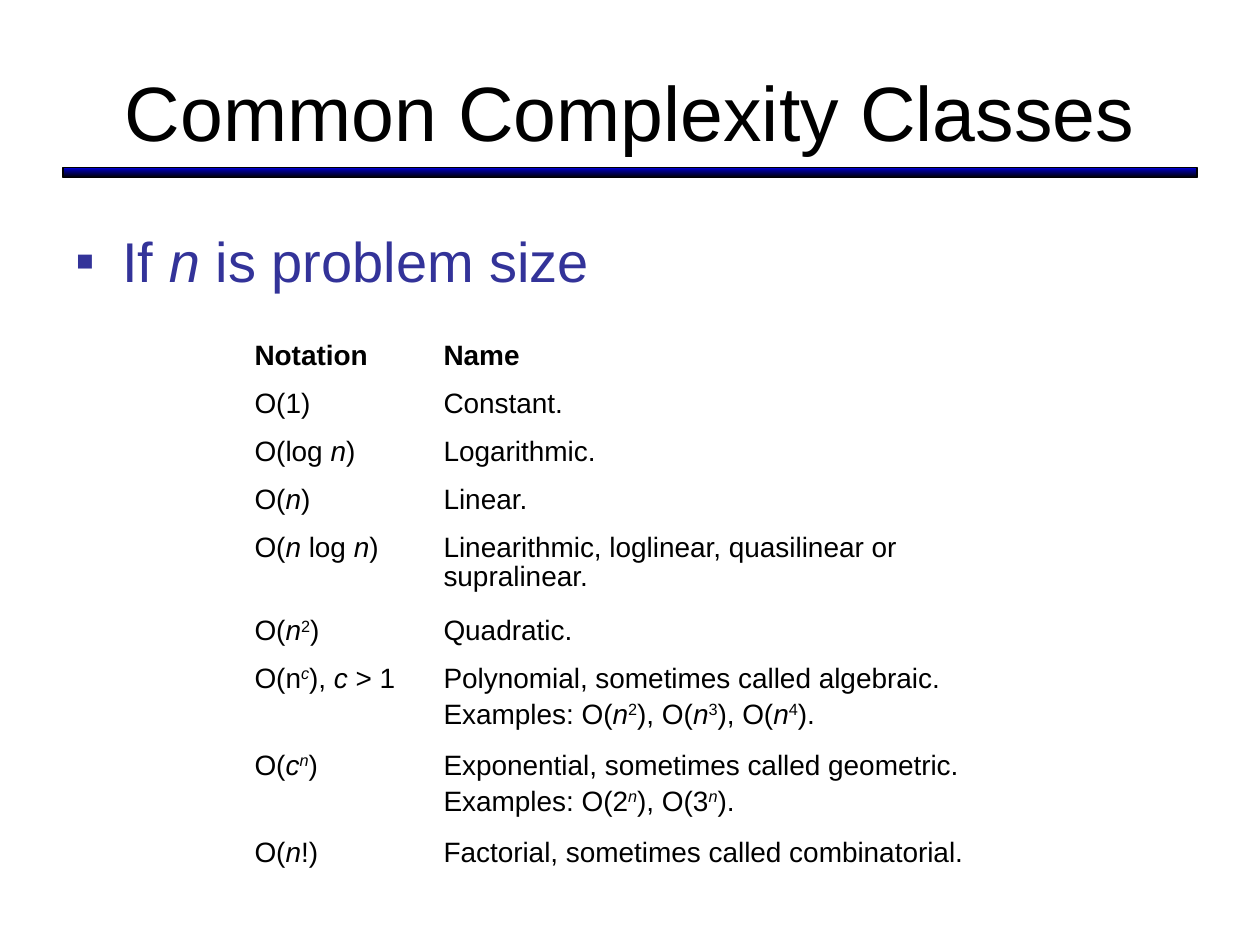
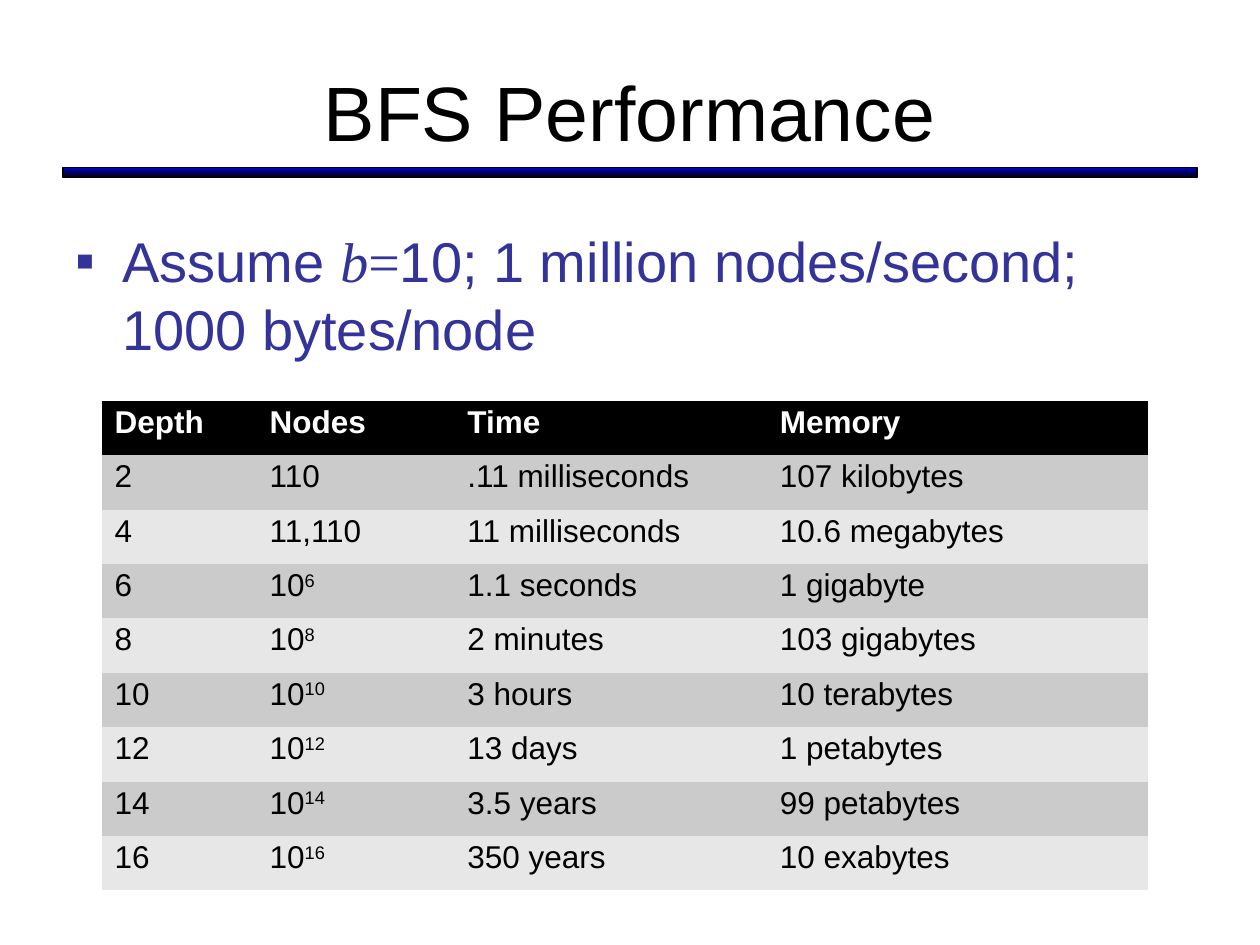
"""Build two slides on complexity classes and the cost of breadth-first search."""
from dataclasses import dataclass
from typing import NamedTuple

from pptx import Presentation
from pptx.dml.color import RGBColor as Rgb
from pptx.enum.shapes import MSO_SHAPE as Kind
from pptx.enum.text import MSO_ANCHOR as Anchor, MSO_AUTO_SIZE as Fit, PP_ALIGN as Align
from pptx.oxml.ns import qn
from pptx.oxml.xmlchemy import OxmlElement as Node
from pptx.util import Inches, Pt

COLS, ROWS = 100, 75
WIDE, HIGH = Inches(10), Inches(7.5)


def col(n: float) -> int:
    return round(WIDE * n / COLS)


def row(n: float) -> int:
    return round(HIGH * n / ROWS)


class Box(NamedTuple):
    x: float
    y: float
    w: float
    h: float

    def lay(self) -> tuple[int, int, int, int]:
        return col(self.x), row(self.y), col(self.w), row(self.h)


@dataclass(frozen=True)
class Theme:
    sans: str = "Arial"
    serif: str = "Times New Roman"
    ink: str = "000000"
    paper: str = "FFFFFF"
    blue: str = "333399"
    glow: str = "0000CC"
    bands: tuple[str, str] = ("CBCBCB", "E7E7E7")
    title: int = 44
    list: int = 32
    title_box: Box = Box(5, 2.5, 90, 12.5)
    list_box: Box = Box(5, 17.5, 90, 49.5)
    rule_box: Box = Box(5, 13.3, 90, 0.8)
    plain: str = "{2D5ABB26-0587-4C30-8999-92F81FD0307C}"


@dataclass(frozen=True)
class Grid:
    x: float
    y: float
    cols: list[float]
    rows: list[float]
    size: int
    gap: int
    banded: bool
    cells: list[tuple[str, ...]]


@dataclass(frozen=True)
class Page:
    title: str
    point: str
    grid: Grid


LOOK = Theme()

CLASSES = Grid(19.2, 26.7, [15, 44.2], [3.8] * 4 + [6.6, 3.8, 6.9, 6.9, 3.8], 16, 4, False, [
    ("Notation", "Name"),
    ("O(1)", "Constant."),
    ("O(log *n*)", "Logarithmic."),
    ("O(*n*)", "Linear."),
    ("O(*n* log *n*)", "Linearithmic, loglinear, quasilinear or supralinear."),
    ("O(*n*^2^)", "Quadratic."),
    ("O(n^*c*^), *c* > 1",
     "Polynomial, sometimes called algebraic.\nExamples: O(*n*^2^), O(*n*^3^), O(*n*^4^)."),
    ("O(*c*^*n*^)", "Exponential, sometimes called geometric.\nExamples: O(2^*n*^), O(3^*n*^)."),
    ("O(*n*!)", "Factorial, sometimes called combinatorial."),
])

COSTS = Grid(8.1, 31.8, [12.3, 15.7, 24.8, 30.2], [4.32] * 9, 18, 0, True, [
    ("Depth", "Nodes", "Time", "Memory"),
    ("2", "110", ".11 milliseconds", "107 kilobytes"),
    ("4", "11,110", "11 milliseconds", "10.6 megabytes"),
    ("6", "10^6^", "1.1 seconds", "1 gigabyte"),
    ("8", "10^8^", "2 minutes", "103 gigabytes"),
    ("10", "10^10^", "3 hours", "10 terabytes"),
    ("12", "10^12^", "13 days", "1 petabytes"),
    ("14", "10^14^", "3.5 years", "99 petabytes"),
    ("16", "10^16^", "350 years", "10 exabytes"),
])

PAGES = [
    Page("Common Complexity Classes", "If *n* is problem size", CLASSES),
    Page("BFS Performance",
         "Assume ~*b*=~10; 1 million nodes/second; 1000 bytes/node", COSTS),
]


def style(run, size: int, hue: str, face: str = LOOK.sans, bold: bool = False) -> None:
    font = run.font
    font.name, font.size, font.bold = face, Pt(size), bold
    font.color.rgb = Rgb.from_string(hue)


def write(par, text: str, size: int, hue: str, bold: bool = False) -> None:
    for i, face in enumerate(text.split("~")):
        for j, level in enumerate(face.split("^")):
            for k, bit in enumerate(level.split("*")):
                if not bit:
                    continue
                run = par.add_run()
                run.text = bit
                style(run, size, hue, LOOK.serif if i % 2 else LOOK.sans, bold)
                run.font.italic = bool(k % 2)
                if j % 2:
                    run.font._element.set("baseline", "30000")


def place(shape, box: Box) -> None:
    shape.left, shape.top, shape.width, shape.height = box.lay()
    shape.text_frame.auto_size = Fit.NONE


def add_rule(slide) -> None:
    rule = slide.shapes.add_shape(Kind.RECTANGLE, *LOOK.rule_box.lay())
    rule.shadow.inherit = False
    rule.fill.gradient()
    rule.fill.gradient_angle = 90
    for stop, spot, hue in zip(rule.fill.gradient_stops, (0, 1), (LOOK.ink, LOOK.glow)):
        stop.position = spot
        stop.color.rgb = Rgb.from_string(hue)
    rule.line.color.rgb = Rgb.from_string(LOOK.ink)
    rule.line.width = Pt(0.75)


def add_title(slide, text: str) -> None:
    shape = slide.shapes.title
    place(shape, LOOK.title_box)
    frame = shape.text_frame
    frame.text = text
    frame.vertical_anchor = Anchor.MIDDLE
    par = frame.paragraphs[0]
    par.alignment = Align.CENTER
    style(par.runs[0], LOOK.title, LOOK.ink)


def add_point(slide, text: str) -> None:
    shape = slide.placeholders[1]
    place(shape, LOOK.list_box)
    par = shape.text_frame.paragraphs[0]
    write(par, text, LOOK.list, LOOK.blue)
    par.space_before = Pt(8)
    props = par._p.get_or_add_pPr()
    props.set("marL", str(col(3.7)))
    props.set("indent", str(-col(3.7)))
    hue, tint = Node("a:buClr"), Node("a:srgbClr")
    tint.set("val", LOOK.blue)
    hue.append(tint)
    face, mark = Node("a:buFont"), Node("a:buChar")
    face.set("typeface", LOOK.sans)
    mark.set("char", "▪")
    props.extend([hue, face, mark])


def fill_cell(cell, text: str, grid: Grid, line: int) -> None:
    head = line == 0
    if grid.banded:
        cell.fill.solid()
        tone = LOOK.ink if head else LOOK.bands[(line - 1) % 2]
        cell.fill.fore_color.rgb = Rgb.from_string(tone)
    else:
        cell.fill.background()
    hue = LOOK.paper if head and grid.banded else LOOK.ink
    frame = cell.text_frame
    for i, part in enumerate(text.split("\n")):
        par = frame.add_paragraph() if i else frame.paragraphs[0]
        par.line_spacing, par.space_before = 0.93, Pt(grid.gap)
        write(par, part, grid.size, hue, head)


def add_grid(slide, grid: Grid) -> None:
    box = Box(grid.x, grid.y, sum(grid.cols), sum(grid.rows))
    frame = slide.shapes.add_table(len(grid.rows), len(grid.cols), *box.lay())
    table = frame.table
    table.horz_banding = False
    for kind in frame._element.iter(qn("a:tableStyleId")):
        kind.text = LOOK.plain
    for part, wide in zip(table.columns, grid.cols):
        part.width = col(wide)
    for i, (part, high, texts) in enumerate(zip(table.rows, grid.rows, grid.cells)):
        part.height = row(high)
        for cell, text in zip(part.cells, texts):
            fill_cell(cell, text, grid, i)


def main() -> None:
    deck = Presentation()
    deck.slide_width, deck.slide_height = WIDE, HIGH
    for page in PAGES:
        slide = deck.slides.add_slide(deck.slide_layouts[1])
        add_rule(slide)
        add_title(slide, page.title)
        add_point(slide, page.point)
        add_grid(slide, page.grid)
    deck.save("out.pptx")


if __name__ == "__main__":
    main()
